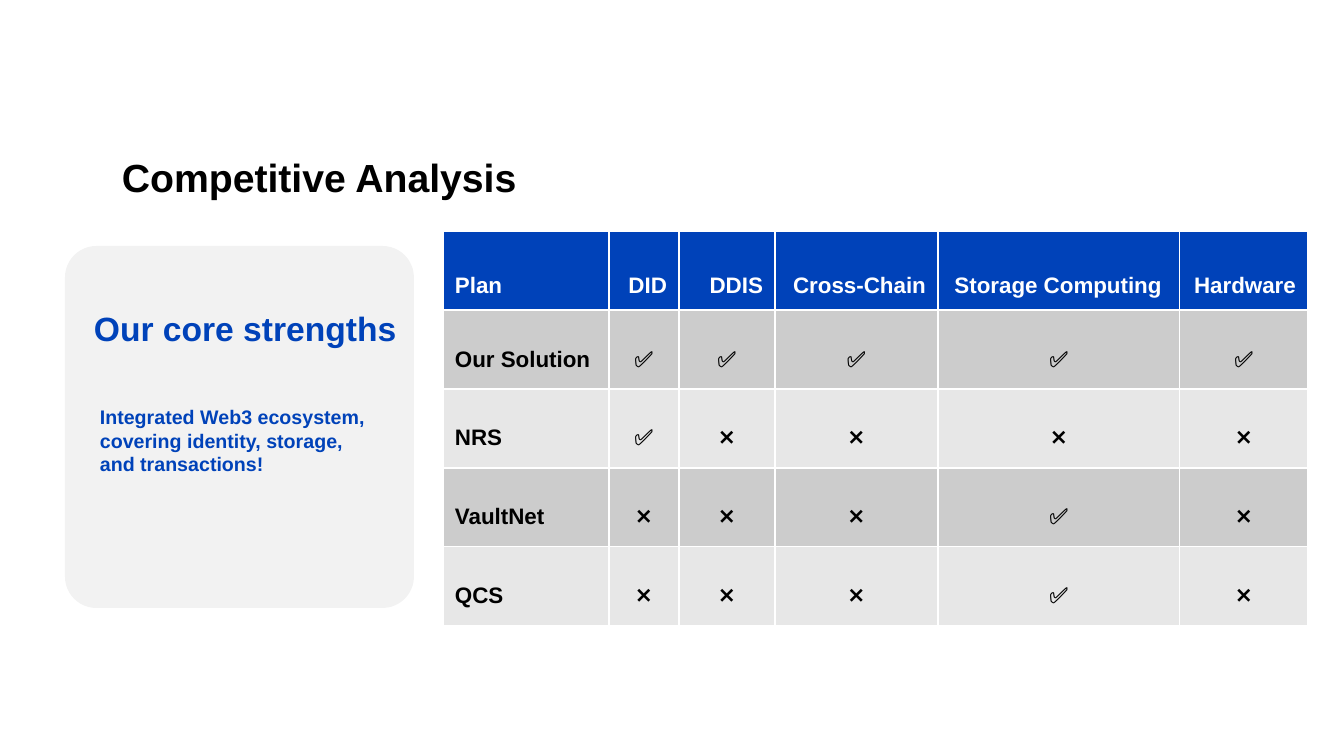
from lxml import etree
from pptx import Presentation
from pptx.dml.color import RGBColor
from pptx.enum.shapes import MSO_SHAPE
from pptx.enum.text import MSO_ANCHOR, MSO_AUTO_SIZE, PP_ALIGN
from pptx.oxml.ns import qn
from pptx.util import Pt

SCALE = 914400 / 100.8  # EMU in one px
FONT = "Arial"
ROUND = MSO_SHAPE.ROUNDED_RECTANGLE
TOP, MIDDLE, BOTTOM = MSO_ANCHOR.TOP, MSO_ANCHOR.MIDDLE, MSO_ANCHOR.BOTTOM
LEFT, CENTER, RIGHT = PP_ALIGN.LEFT, PP_ALIGN.CENTER, PP_ALIGN.RIGHT
GROW = MSO_AUTO_SIZE.SHAPE_TO_FIT_TEXT

COLORS = {
    "blue": "0042B9",
    "black": "000000",
    "white": "FFFFFF",
    "dark": "CCCCCC",
    "light": "E7E7E7",
}

HEADS = ["Plan", "DID", "DDIS", "Cross-Chain", "Storage Computing ", "Hardware"]
WIDTHS = [166, 70, 96, 163, 242, 128]
ROW = 79
PAD = 12
# One letter a column: y is a tick, n is a cross
PLANS = [
    ("Our Solution", "yyyyy"),
    ("NRS", "ynnnn"),
    ("VaultNet", "nnnyn"),
    ("QCS", "nnnyn"),
]
MARKS = {"y": "✅", "n": "❌"}


def px(n):
    return round(n * SCALE)


def color(name):
    return RGBColor.from_string(COLORS[name])


def style(para, size, ink, bold=True):
    font = para.font
    font.name, font.size, font.bold = FONT, Pt(size), bold
    font.color.rgb = color(ink)


def add_text(slide, box, text, size, ink, anchor=TOP):
    frame = slide.shapes.add_textbox(*map(px, box)).text_frame
    frame.word_wrap = True
    frame.auto_size = GROW
    frame.vertical_anchor = anchor
    para = frame.paragraphs[0]
    para.text = text
    style(para, size, ink)


def add_panel(slide, box):
    panel = slide.shapes.add_shape(ROUND, *map(px, box))
    panel.adjustments[0] = 0.09
    panel.shadow.inherit = False
    panel.line.fill.background()
    panel.fill.solid()
    panel.fill.fore_color.rgb = color("black")
    # Five percent opacity
    tint = panel.fill._xPr.find(qn("a:solidFill"))[0]
    etree.SubElement(tint, qn("a:alpha"), val="5000")


def add_edges(cell):
    props = cell._tc.get_or_add_tcPr()
    for side in ("lnL", "lnR", "lnT", "lnB"):
        line = etree.SubElement(props, qn("a:" + side), w=str(Pt(1)))
        fill = etree.SubElement(line, qn("a:solidFill"))
        etree.SubElement(fill, qn("a:srgbClr"), val=COLORS["white"])


def fill_cell(cell, text, back, ink, align, anchor, bold):
    add_edges(cell)
    cell.fill.solid()
    cell.fill.fore_color.rgb = color(back)
    cell.vertical_anchor = anchor
    cell.margin_left = cell.margin_right = px(PAD)
    cell.margin_top = cell.margin_bottom = px(PAD)
    para = cell.text_frame.paragraphs[0]
    para.text = text
    para.alignment = align
    para.line_spacing = 2.0
    style(para, 16, ink, bold)


def add_grid(slide, left, top):
    rows = len(PLANS) + 1
    box = (left, top, sum(WIDTHS), rows * ROW)
    grid = slide.shapes.add_table(rows, len(WIDTHS), *map(px, box)).table
    for col, width in zip(grid.columns, WIDTHS):
        col.width = px(width)
    for row in grid.rows:
        row.height = px(ROW)

    # Header row
    for c, head in enumerate(HEADS):
        align = RIGHT if c else LEFT
        fill_cell(grid.cell(0, c), head, "blue", "white", align, BOTTOM, True)

    # Plan rows
    for r, (plan, marks) in enumerate(PLANS, 1):
        back = "dark" if r % 2 else "light"
        fill_cell(grid.cell(r, 0), plan, back, "black", LEFT, TOP, True)
        for c, mark in enumerate(marks, 1):
            fill_cell(grid.cell(r, c), MARKS[mark], back, "black", CENTER, TOP, False)


def main():
    deck = Presentation()
    deck.slide_width, deck.slide_height = px(1344), px(756)
    slide = deck.slides.add_slide(deck.slide_layouts[6])

    # Comparison table
    add_grid(slide, 443, 231)

    # Strengths panel
    add_panel(slide, (65, 246, 349, 362))
    add_text(slide, (90, 400, 299, 82),
             "Integrated Web3 ecosystem, covering identity, storage, and transactions!",
             14, "blue")
    add_text(slide, (84, 303, 340, 50), "Our core strengths", 24, "blue")

    # Title
    add_text(slide, (112, 148, 1028, 57), "Competitive Analysis", 28, "black", MIDDLE)

    deck.save("out.pptx")


if __name__ == "__main__":
    main()
